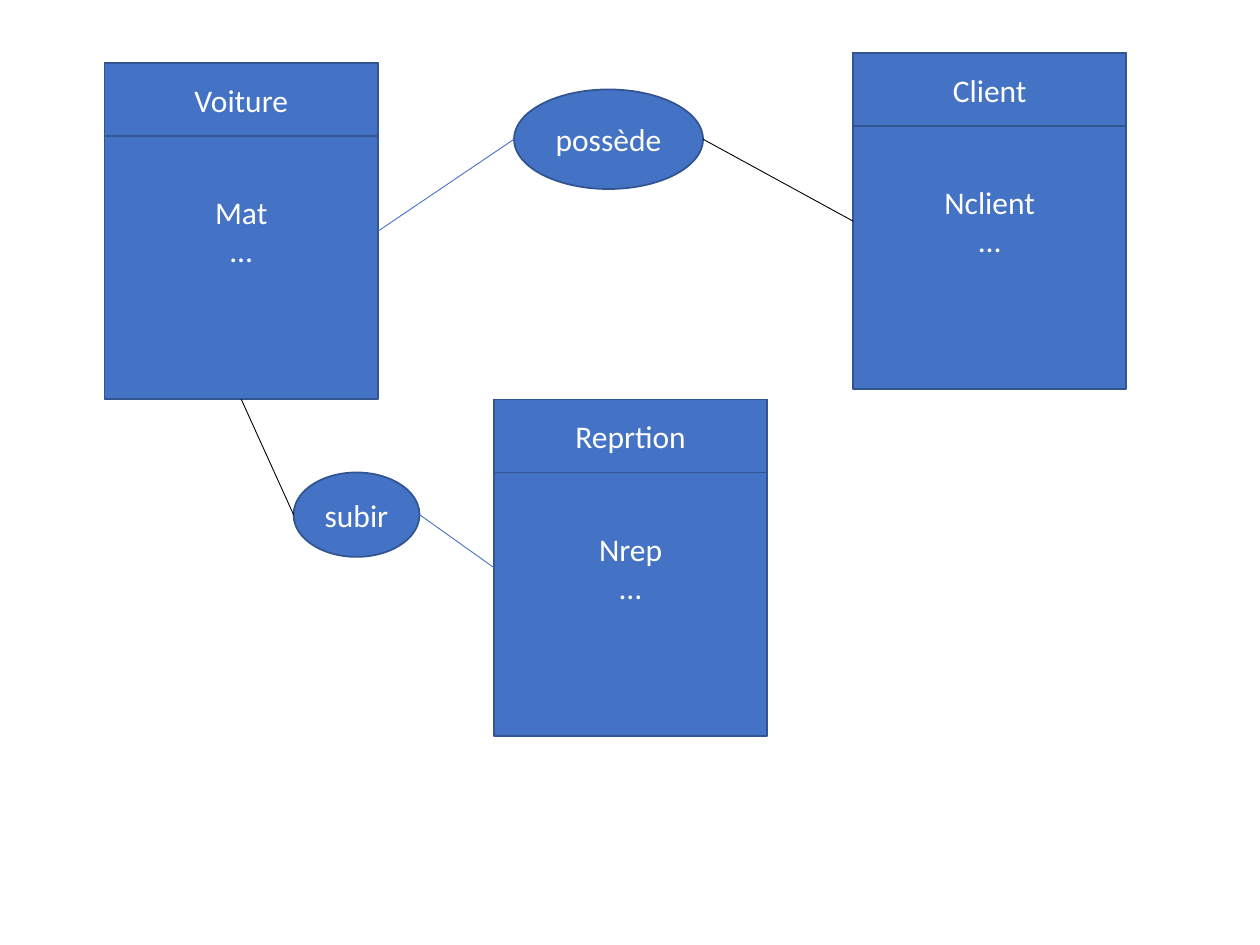
from lxml.etree import SubElement
from pptx import Presentation
from pptx.dml.color import RGBColor
from pptx.enum.shapes import MSO_CONNECTOR, MSO_SHAPE
from pptx.enum.text import MSO_ANCHOR, PP_ALIGN
from pptx.oxml.ns import qn
from pptx.util import Inches, Pt

BOTTOM, LEFT, RIGHT = 2, 1, 3


def color(hex_code):
    return RGBColor.from_string(hex_code)


class EntityDiagram:
    """Entity-relationship diagram drawn on one slide."""

    font = "Calibri"
    text_size = 18
    blue, outline, white, black = "4472C4", "325491", "FFFFFF", "000000"
    entity_width, entity_height, header_height = 2.17, 2.67, 0.58

    def __init__(self, slide):
        self.slide = slide

    def node(self, shapes, kind, left, top, width, height, text):
        """Add a filled, outlined shape with centred text."""
        shape = shapes.add_shape(
            kind, Inches(left), Inches(top), Inches(width), Inches(height))
        shape.shadow.inherit = False
        shape.fill.solid()
        shape.fill.fore_color.rgb = color(self.blue)
        shape.line.color.rgb = color(self.outline)
        shape.line.width = Pt(1)
        frame = shape.text_frame
        frame.text = text
        frame.word_wrap = True
        frame.vertical_anchor = MSO_ANCHOR.MIDDLE
        for paragraph in frame.paragraphs:
            paragraph.alignment = PP_ALIGN.CENTER
            for run in paragraph.runs:
                run.font.name = self.font
                run.font.size = Pt(self.text_size)
                run.font.color.rgb = color(self.white)
        return shape

    def entity(self, left, top, name, key):
        """Group a titled header with its attribute box; return the box."""
        shapes = self.slide.shapes.add_group_shape().shapes
        box = self.node(shapes, MSO_SHAPE.RECTANGLE, left, top,
                        self.entity_width, self.entity_height, f"{key}\n…")
        self.node(shapes, MSO_SHAPE.RECTANGLE, left, top,
                  self.entity_width, self.header_height, name)
        return box

    def relation(self, left, top, width, height, name):
        return self.node(self.slide.shapes, MSO_SHAPE.OVAL,
                         left, top, width, height, name)

    def link(self, entity, entity_side, relation, relation_side, line_color):
        """Join a side of an entity to the left or right tip of a relation."""
        tip_x = relation.left + (relation.width if relation_side == RIGHT else 0)
        tip_y = relation.top + relation.height // 2
        line = self.slide.shapes.add_connector(
            MSO_CONNECTOR.STRAIGHT, entity.left, entity.top, tip_x, tip_y)
        line.begin_connect(entity, entity_side)
        line.line.color.rgb = color(line_color)
        line.line.width = Pt(0.5)
        SubElement(line._element.spPr, qn("a:effectLst"))


def main():
    presentation = Presentation()
    presentation.slide_width = Inches(10)
    presentation.slide_height = Inches(7.5)
    diagram = EntityDiagram(
        presentation.slides.add_slide(presentation.slide_layouts[6]))

    car = diagram.entity(0.83, 0.5, "Voiture", "Mat")
    client = diagram.entity(6.77, 0.42, "Client", "Nclient")
    repair = diagram.entity(3.92, 3.17, "Reprtion", "Nrep")

    owns = diagram.relation(4.08, 0.71, 1.5, 0.79, "possède")
    diagram.link(client, LEFT, owns, RIGHT, diagram.black)
    diagram.link(car, RIGHT, owns, LEFT, diagram.blue)

    undergoes = diagram.relation(2.33, 3.75, 1, 0.67, "subir")
    diagram.link(car, BOTTOM, undergoes, LEFT, diagram.black)
    diagram.link(repair, LEFT, undergoes, RIGHT, diagram.blue)

    presentation.save("out.pptx")


if __name__ == "__main__":
    main()
